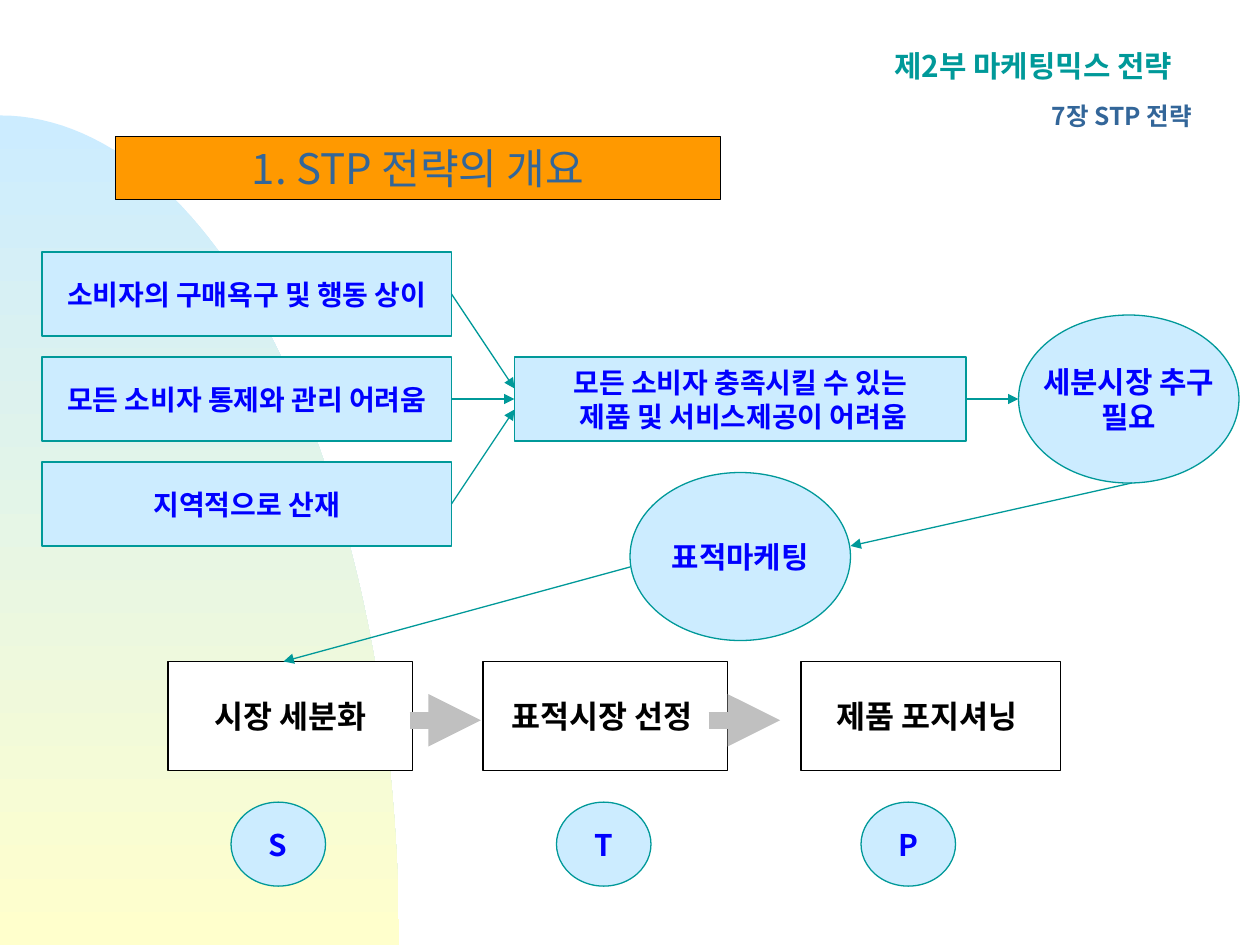
from math import cos, pi, sin

from lxml.etree import SubElement
from pptx import Presentation
from pptx.dml.color import RGBColor
from pptx.enum.shapes import MSO_CONNECTOR as Connector, MSO_SHAPE as Shape
from pptx.enum.text import MSO_ANCHOR as Anchor, PP_ALIGN as Align
from pptx.oxml.ns import qn
from pptx.util import Inches, Pt

FONT = "Noto Sans CJK KR"
COLORS = {
    "sky": "CCECFF", "cream": "FFFFCC", "teal": "009999", "slate": "336699",
    "orange": "FF9900", "blue": "0000FF", "black": "000000",
    "white": "FFFFFF", "silver": "C0C0C0",
}

# The slide is a grid of 120 columns by 90 rows, twelve to the inch
COLUMNS, ROWS, PER_INCH = 120, 90, 12

TITLE = ("1. STP 전략의 개요", (11, 13, 57.6, 6))
HEADERS = [
    ("제2부 마케팅믹스 전략", (84, 4, 35, 4.7), 17, "teal"),
    ("7장 STP 전략", (99, 9, 21.7, 4.1), 14, "slate"),
]
CAUSES = ["소비자의 구매욕구 및 행동 상이", "모든 소비자 통제와 관리 어려움", "지역적으로 산재"]
CAUSE_LEFT, CAUSE_TOP, CAUSE_WIDTH, CAUSE_HEIGHT, CAUSE_STEP = 4, 24, 39, 8, 10
PROBLEM = (["모든 소비자 충족시킬 수 있는", " 제품 및 서비스제공이 어려움"], (49, 34, 43, 8))
GOALS = [
    (["세분시장 추구", "필요"], (97, 30, 21, 16)),
    (["표적마케팅"], (60, 45, 21, 16)),
]
# Step name, box left, box width, initial, initial's left
STEPS = [
    ("시장 세분화", 16, 23.3, "S", 22),
    ("표적시장 선정 ", 46, 23.3, "T", 53),
    ("제품 포지셔닝 ", 76.3, 24.7, "P", 82),
]
STEP_TOP, STEP_HEIGHT, INITIAL_TOP = 63, 10.4, 76.4
FLOWS = [
    ((43, 28), (49, 37)), ((43, 38), (49, 38)), ((43, 48), (49, 39)),
    ((92, 38), (97, 38)), ((107.8, 46), (81, 52)), ((60, 54), (27, 63)),
]
STEP_ARROWS = [((left, 68.6), (left + 6.8, 68.6)) for left in (39, 67.5)]


def grid(*units):
    return [Inches(unit / PER_INCH) for unit in units]


def color(name):
    return RGBColor.from_string(COLORS[name])


def write(shape, lines, size, ink, bold=True, align=Align.CENTER,
          anchor=Anchor.MIDDLE, wrap=False):
    frame = shape.text_frame
    frame.word_wrap = wrap
    frame.vertical_anchor = anchor
    for index, line in enumerate(lines):
        para = frame.add_paragraph() if index else frame.paragraphs[0]
        para.alignment = align
        span = para.add_run()
        span.text = line
        font_format = {"name": FONT, "size": Pt(size), "bold": bold}
        for key, value in font_format.items():
            setattr(span.font, key, value)
        span.font.color.rgb = color(ink)
        # East Asian text needs its own typeface
        SubElement(span.font._element, qn("a:ea"), typeface=FONT)


def paint(shape, fill, line):
    shape.fill.solid()
    shape.fill.fore_color.rgb = color(fill)
    shape.line.color.rgb = color(line)
    shape.line.width = Pt(0.75)


def add_node(page, kind, place, lines, size, ink="blue", fill="sky", line="teal"):
    node = page.shapes.add_shape(kind, *grid(*place))
    node.shadow.inherit = False
    paint(node, fill, line)
    write(node, lines, size, ink)


def add_arrow(page, start, end, ink="teal", width=0.75):
    arrow = page.shapes.add_connector(Connector.STRAIGHT, *grid(*start, *end))
    arrow.line.color.rgb = color(ink)
    arrow.line.width = Pt(width)
    SubElement(arrow.line._get_or_add_ln(), qn("a:tailEnd"), type="triangle")
    SubElement(arrow._element.spPr, qn("a:effectLst"))


def add_backdrop(page):
    # Quarter ellipse centred on the lower left corner
    width, height, parts = 38, 79, 60
    angles = [pi / 2 * part / parts for part in range(parts + 1)]
    arc = [grid(width * sin(angle), ROWS - height * cos(angle)) for angle in angles]
    builder = page.shapes.build_freeform(*grid(0, ROWS))
    builder.add_line_segments(arc, close=True)
    backdrop = builder.convert_to_shape()
    backdrop.shadow.inherit = False
    backdrop.line.fill.background()
    backdrop.fill.gradient()
    backdrop.fill.gradient_angle = 270
    for stop, name, position in zip(backdrop.fill.gradient_stops, ("sky", "cream"), (0, 1)):
        stop.color.rgb = color(name)
        stop.position = position


def main():
    deck = Presentation()
    deck.slide_width, deck.slide_height = grid(COLUMNS, ROWS)
    page = deck.slides.add_slide(deck.slide_layouts[5])
    add_backdrop(page)

    # Title, raised above the backdrop
    text, place = TITLE
    title = page.shapes.title
    title.left, title.top, title.width, title.height = grid(*place)
    paint(title, "orange", "black")
    write(title, [text], 24, "slate", bold=False, wrap=True)
    title._element.getparent().append(title._element)

    # Part and chapter headers
    for text, place, size, ink in HEADERS:
        box = page.shapes.add_textbox(*grid(*place))
        write(box, [text], size, ink, align=Align.LEFT, anchor=Anchor.TOP, wrap=True)

    # Causes, the problem they lead to, and the goals
    for row, text in enumerate(CAUSES):
        place = (CAUSE_LEFT, CAUSE_TOP + row * CAUSE_STEP, CAUSE_WIDTH, CAUSE_HEIGHT)
        add_node(page, Shape.RECTANGLE, place, [text], 16)
    lines, place = PROBLEM
    add_node(page, Shape.RECTANGLE, place, lines, 16)
    for lines, place in GOALS:
        add_node(page, Shape.OVAL, place, lines, 17)

    # The three steps with their initials
    for text, left, width, initial, initial_left in STEPS:
        add_node(page, Shape.RECTANGLE, (left, STEP_TOP, width, STEP_HEIGHT),
                 [text], 18, ink="black", fill="white", line="black")
        add_node(page, Shape.OVAL, (initial_left, INITIAL_TOP, 9, 8), [initial], 17)

    # Arrows
    for start, end in FLOWS:
        add_arrow(page, start, end)
    for start, end in STEP_ARROWS:
        add_arrow(page, start, end, "silver", 10)

    deck.save("out.pptx")


if __name__ == "__main__":
    main()
